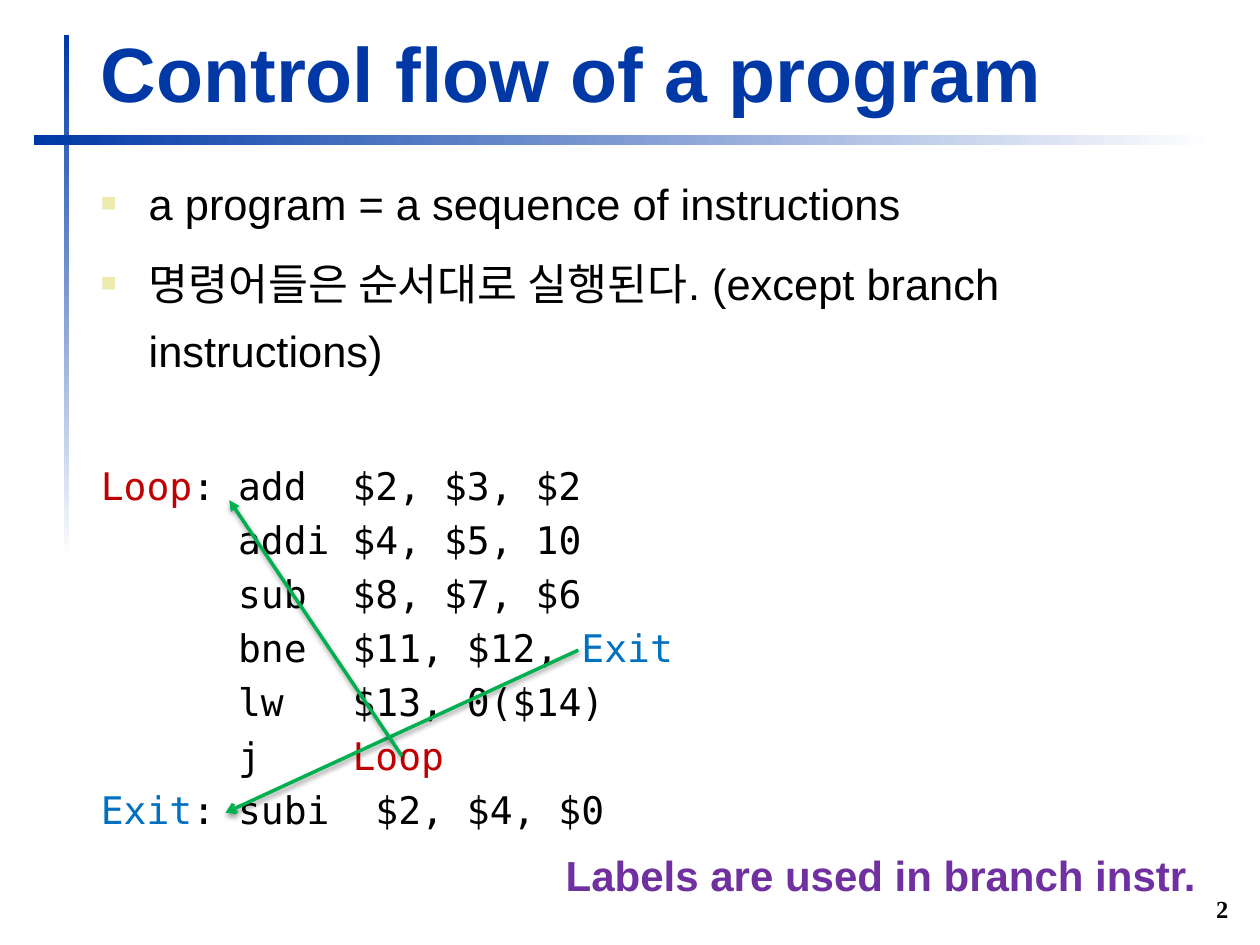
"""Build the slide on the control flow of a program."""
import pptx
import pptx.dml.color
import pptx.enum.dml
import pptx.enum.shapes
import pptx.enum.text
import pptx.oxml
import pptx.oxml.ns
import pptx.util
from pptx.util import Inches

COLORS = {
    "blue": "0039A6", "white": "FFFFFF", "black": "000000", "bullet": "ECEAAC",
    "loop": "C00000", "exit": "0070C0", "note": "7030A0", "arrow": "00B050",
}
TITLE = "Control flow of a program"
POINTS = [
    "a program = a sequence of instructions",
    "명령어들은 순서대로 실행된다. (except branch instructions)",
]
CODE = [
    [("Loop", "loop"), (": add  $2, $3, $2", "black")],
    [("      addi $4, $5, 10", "black")],
    [("      sub  $8, $7, $6", "black")],
    [("      bne  $11, $12, ", "black"), ("Exit", "exit")],
    [("      lw   $13, 0($14)", "black")],
    [("      j    ", "black"), ("Loop", "loop")],
    [("Exit", "exit"), (": subi  $2, $4, $0", "black")],
]
NOTE = "Labels are used in branch instr."
PAGE_NUMBER = "2"
RULES = [((0.51, 0.28, 0.04, 4.17), 90), ((0.27, 1.07, 9.37, 0.08), 180)]
JUMPS = [((4.59, 5.16), (1.79, 6.45), "arrow"), ((3.19, 6), (1.82, 3.97), "triangle")]
CODE_GAP = 54
ALIGN = pptx.enum.text.PP_ALIGN
ANCHOR = pptx.enum.text.MSO_ANCHOR


def rgb(name):
    return pptx.dml.color.RGBColor.from_string(COLORS[name])


def add_xml(parent, markup):
    namespaces = pptx.oxml.ns.nsdecls("a")
    root = pptx.oxml.parse_xml(f"<a:root {namespaces}>{markup}</a:root>")
    for child in list(root):
        parent.append(child)


def add_span(para, text, size=24.8, font="Arial", color="black", bold=False):
    span = para.add_run()
    span.text = text
    span.font.size = pptx.util.Pt(size)
    span.font.name = font
    span.font.bold = bold
    span.font.color.rgb = rgb(color)


def set_frame(box, wrap=True, anchor=ANCHOR.TOP, grow=False):
    frame = box.text_frame
    frame.word_wrap = wrap
    frame.vertical_anchor = anchor
    frame.margin_left = frame.margin_right = Inches(0.05)
    frame.margin_top = frame.margin_bottom = Inches(0.05)
    sizing = pptx.enum.text.MSO_AUTO_SIZE
    frame.auto_size = sizing.SHAPE_TO_FIT_TEXT if grow else sizing.NONE
    return frame


def place(box, *area):
    box.left, box.top, box.width, box.height = map(Inches, area)


def add_label(page, text, area, align=ALIGN.LEFT, anchor=ANCHOR.TOP, **style):
    box = page.shapes.add_textbox(*map(Inches, area))
    para = set_frame(box, wrap=False, anchor=anchor, grow=True).paragraphs[0]
    para.alignment = align
    add_span(para, text, bold=True, **style)


def add_rule(page, area, angle):
    rule = page.shapes.add_shape(
        pptx.enum.shapes.MSO_SHAPE.RECTANGLE, *map(Inches, area))
    rule.shadow.inherit = False
    rule.line.fill.background()
    rule.fill.gradient()
    rule.fill.gradient_angle = angle
    for stop, color in zip(rule.fill.gradient_stops, ("white", "blue")):
        stop.color.rgb = rgb(color)


def add_jump(page, start, end, head):
    jump = page.shapes.add_connector(
        pptx.enum.shapes.MSO_CONNECTOR.STRAIGHT, *map(Inches, start + end))
    jump.line.color.rgb = rgb("arrow")
    jump.line.width = pptx.util.Pt(2)
    add_xml(jump.line._get_or_add_ln(), f'<a:tailEnd type="{head}"/>')
    add_xml(
        jump._element.spPr,
        f'<a:effectLst><a:outerShdw blurRad="{pptx.util.Pt(3)}" '
        f'dist="{pptx.util.Pt(1.6)}" dir="5400000" rotWithShape="0">'
        f'<a:srgbClr val="{COLORS["black"]}"><a:alpha val="38000"/></a:srgbClr>'
        '</a:outerShdw></a:effectLst>')


def add_para(frame, spacing, before, bullet):
    first = not frame.paragraphs[0].runs
    para = frame.paragraphs[0] if first else frame.add_paragraph()
    para.alignment = ALIGN.LEFT
    para.line_spacing = spacing
    para.space_before = pptx.util.Pt(0 if first else before)
    para.space_after = pptx.util.Pt(0)
    properties = para._p.get_or_add_pPr()
    properties.set("marL", str(Inches(0.38)))
    properties.set("indent", str(-Inches(0.38)))
    add_xml(properties, bullet)
    return para


def fill_body(frame):
    square = (f'<a:buClr><a:srgbClr val="{COLORS["bullet"]}"/></a:buClr>'
              '<a:buSzPct val="60000"/><a:buFont typeface="Arial"/>'
              '<a:buChar char="■"/>')
    for point in POINTS:
        add_span(add_para(frame, 1.3, 7, square), point)
    for index, spans in enumerate(CODE):
        para = add_para(frame, 0.8, 10 if index else CODE_GAP, "<a:buNone/>")
        for text, color in spans:
            add_span(para, text, size=21.7, font="DejaVu Sans Mono", color=color)


def main():
    deck = pptx.Presentation()
    deck.slide_width, deck.slide_height = Inches(10), Inches(7.5)
    page = deck.slides.add_slide(deck.slide_layouts[1])
    title, body = page.placeholders
    for area, angle in RULES:
        add_rule(page, area, angle)

    place(title, 0.75, 0.16, 9.03, 0.83)
    para = set_frame(title, anchor=ANCHOR.BOTTOM).paragraphs[0]
    para.alignment = ALIGN.LEFT
    add_span(para, TITLE, size=44, color="blue", bold=True)

    place(body, 0.75, 1.23, 9.05, 5.59)
    fill_body(set_frame(body))

    add_label(page, PAGE_NUMBER, (9.58, 7.06, 0.22, 0.32), align=ALIGN.RIGHT,
              anchor=ANCHOR.BOTTOM, size=14, font="Times New Roman")
    add_label(page, NOTE, (4.44, 6.69, 5.17, 0.5), size=24, color="note")
    for start, end, head in JUMPS:
        add_jump(page, start, end, head)
    deck.save("out.pptx")


if __name__ == "__main__":
    main()
